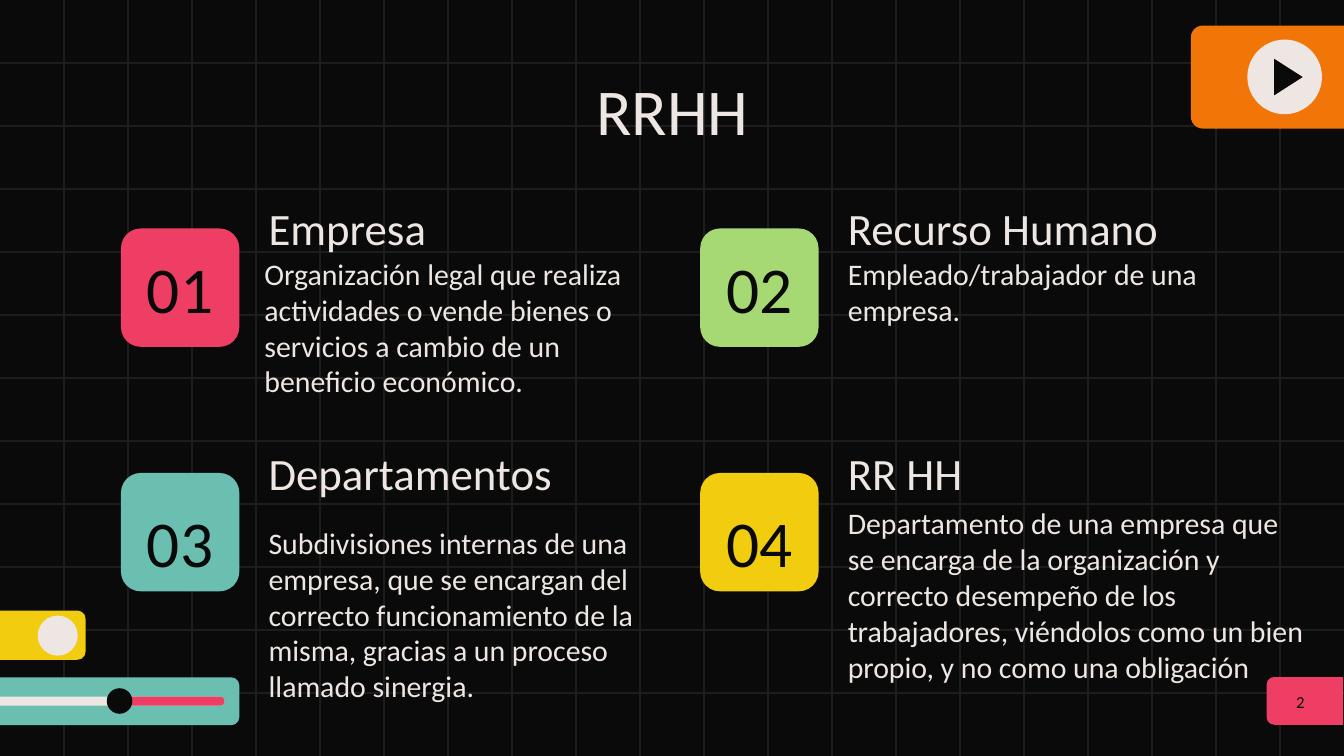
from lxml.etree import SubElement
from pptx import Presentation
from pptx.dml.color import RGBColor
from pptx.enum.shapes import MSO_CONNECTOR as Conn, MSO_SHAPE as Kind
from pptx.enum.text import MSO_ANCHOR as Anchor, PP_ALIGN as Align
from pptx.oxml.ns import qn
from pptx.util import Pt

WIDE, HIGH = 720, 405
FONT = "Calibri"
DARK, LIGHT, GRID = "0A0A0A", "EEE6E2", "1D1D1D"
PINK, TEAL, GREEN = "EE3E63", "6BBFB0", "A6D973"
GOLD, ORANGE = "F2CC0F", "F27507"

# Card origin, number drop, colour, number, heading, body, body box
CARDS = [
    (64.8, 122.4, 10.8, PINK, "01", "Empresa",
     "Organización legal que realiza actividades o vende bienes o "
     "servicios a cambio de un beneficio económico.",
     (134.6, 128.9, 226, 92.9)),
    (375.1, 122.4, 10.8, GREEN, "02", "Recurso Humano",
     "Empleado/trabajador de una empresa.",
     (447.1, 128.9, 216, 54.7)),
    (64.8, 253.4, 15.9, TEAL, "03", "Departamentos",
     "Subdivisiones internas de una empresa, que se encargan del correcto "
     "funcionamiento de la misma, gracias a un proceso llamado sinergia.",
     (136.8, 274.3, 236.9, 109.4)),
    (375.1, 253.4, 15.9, GOLD, "04", "RR HH",
     "Departamento de una empresa que se encarga de la organización y "
     "correcto desempeño de los trabajadores, viéndolos como un bien "
     "propio, y no como una obligación",
     (447.1, 267.8, 261.4, 101.5)),
]


def color(code):
    return RGBColor.from_string(code)


def paint(shape, code):
    shape.shadow.inherit = False
    shape.fill.solid()
    shape.fill.fore_color.rgb = color(code)
    shape.line.fill.background()
    return shape


def add_block(slide, kind, box, code, *rounds):
    shape = slide.shapes.add_shape(kind, *map(Pt, box))
    for i, value in enumerate(rounds):
        shape.adjustments[i] = value
    return paint(shape, code)


def add_disc(slide, left, top, size, code):
    add_block(slide, Kind.OVAL, (left, top, size, size), code)


def add_rule(slide, x1, y1, x2, y2):
    line = slide.shapes.add_connector(Conn.STRAIGHT, *map(Pt, (x1, y1, x2, y2)))
    line.line.color.rgb = color(GRID)
    line.line.width = Pt(0.75)
    SubElement(line._element.spPr, qn("a:effectLst"))


def add_text(slide, box, text, size, code=LIGHT, align=Align.LEFT,
             anchor=Anchor.MIDDLE):
    frame = slide.shapes.add_textbox(*map(Pt, box)).text_frame
    frame.word_wrap = True
    frame.vertical_anchor = anchor
    frame.margin_left = frame.margin_right = Pt(7.2)
    frame.margin_top = frame.margin_bottom = Pt(7.2)
    para = frame.paragraphs[0]
    para.alignment = align
    run = para.add_run()
    run.text = text
    run.font.name = FONT
    run.font.size = Pt(size)
    run.font.color.rgb = color(code)


def add_grid(slide, rows=12, cols=21):
    for i in range(1, rows):
        y = i * HIGH / rows
        add_rule(slide, 0, y, WIDE, y)
    for i in range(1, cols):
        x = i * WIDE / cols
        add_rule(slide, x, 0, x, HIGH)


def add_slider(slide):
    bar = Kind.ROUNDED_RECTANGLE
    add_block(slide, bar, (-48.2, 362.9, 176.4, 25.6), TEAL, 0.167)
    add_block(slide, bar, (-40.3, 373.3, 160.6, 4.7), LIGHT, 0.5)
    add_block(slide, bar, (62, 373.3, 58.3, 4.7), PINK, 0.5)
    add_disc(slide, 57.2, 368.7, 13.7, DARK)


def add_toggle(slide):
    add_block(slide, Kind.ROUNDED_RECTANGLE, (-18, 327.1, 63.9, 26.4), GOLD, 0.167)
    add_disc(slide, 20.2, 329.8, 21.5, LIGHT)


def add_player(slide):
    add_block(slide, Kind.ROUNDED_RECTANGLE, (638, 13.7, 100, 55.2), ORANGE, 0.116)
    add_disc(slide, 668.2, 21.2, 40, LIGHT)
    pen = slide.shapes.build_freeform(Pt(682.6), Pt(31.5))
    pen.add_line_segments([(Pt(682.6), Pt(51.1)), (Pt(697.9), Pt(41.3))])
    paint(pen.convert_to_shape(), DARK)


def add_card(slide, x, y, drop, code, number, head, body, box):
    add_block(slide, Kind.ROUNDED_RECTANGLE, (x, y, 63.4, 63.4), code, 0.167)
    add_text(slide, (x + 1.5, y + drop, 60.4, 41.8), number, 35, DARK, Align.CENTER)
    add_text(slide, (x + 72, y - 15.1, 216, 29.5), head, 24)
    add_text(slide, box, body, 16)


def add_page(slide, number):
    tab = add_block(slide, Kind.ROUND_2_SAME_RECTANGLE,
                    (686.2, 355, 25.6, 41), PINK, 0, 0.162)
    tab.rotation = 90
    add_text(slide, (679, 362.9, 35.3, 25.6), number, 9, DARK, Align.CENTER)


def main():
    deck = Presentation()
    deck.slide_width, deck.slide_height = Pt(WIDE), Pt(HIGH)
    slide = deck.slides.add_slide(deck.slide_layouts[6])
    slide.background.fill.solid()
    slide.background.fill.fore_color.rgb = color(DARK)

    # Backdrop and media controls
    add_grid(slide)
    add_slider(slide)
    add_toggle(slide)
    add_player(slide)
    add_page(slide, "2")

    # Title and cards
    add_text(slide, (56.9, 30.2, 607, 46.8), "RRHH", 35,
             align=Align.CENTER, anchor=Anchor.TOP)
    for card in CARDS:
        add_card(slide, *card)

    deck.save("out.pptx")


if __name__ == "__main__":
    main()
